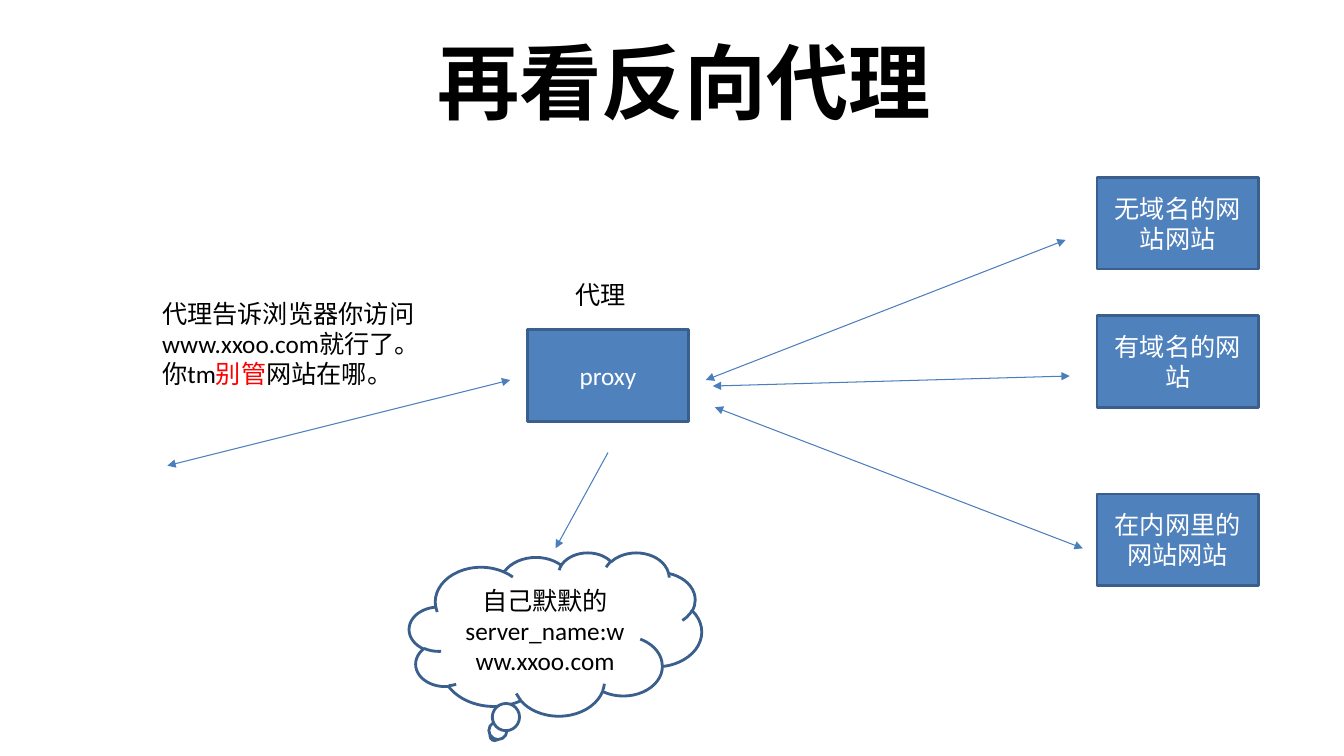
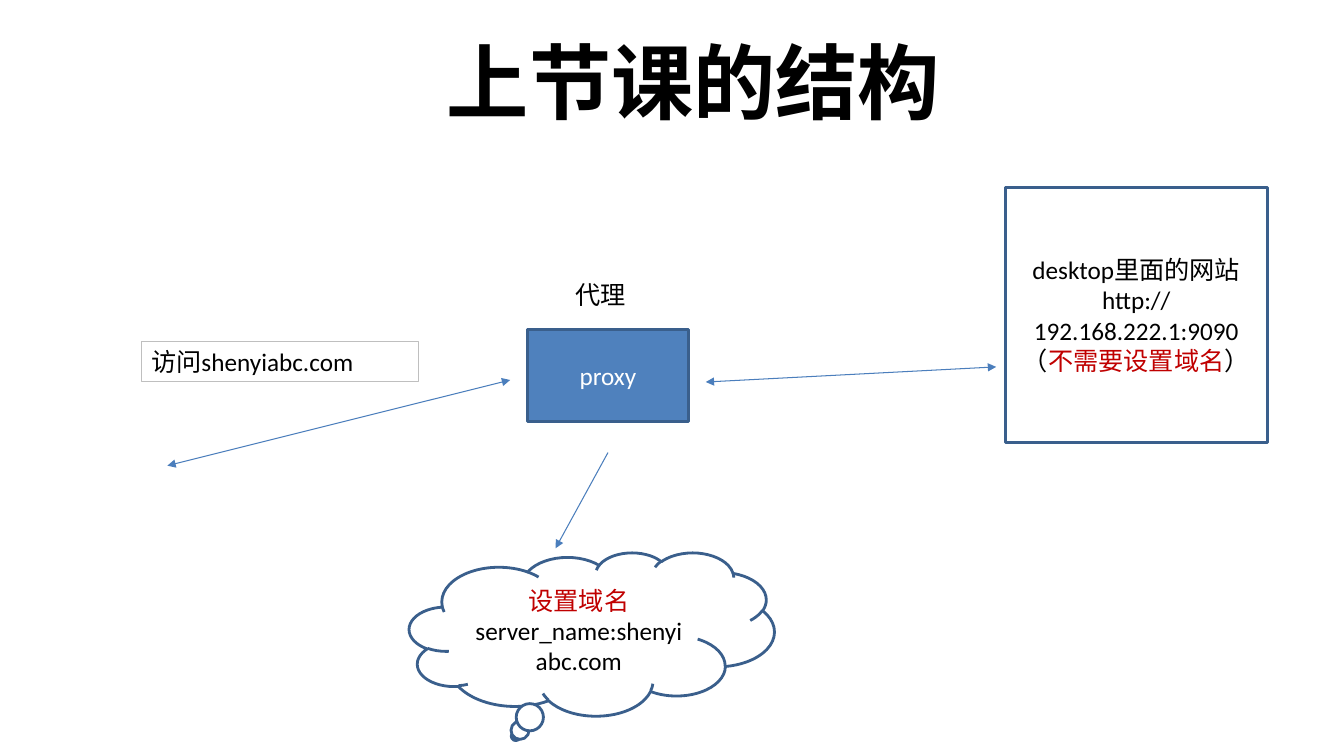
from lxml import etree
from pptx import Presentation
from pptx.dml.color import RGBColor
from pptx.enum.shapes import MSO_CONNECTOR, MSO_SHAPE
from pptx.enum.text import MSO_ANCHOR, PP_ALIGN
from pptx.oxml.ns import qn
from pptx.util import Inches, Pt

RECT = MSO_SHAPE.RECTANGLE
CLOUD = MSO_SHAPE.CLOUD_CALLOUT
STRAIGHT = MSO_CONNECTOR.STRAIGHT
LEFT, CENTER = PP_ALIGN.LEFT, PP_ALIGN.CENTER
TOP, MIDDLE = MSO_ANCHOR.TOP, MSO_ANCHOR.MIDDLE

FONT = "Calibri"
BLACK, WHITE, GREY = "000000", "FFFFFF", "BFBFBF"
BLUE, EDGE, WIRE = "4F81BD", "3A5F8C", "4B7EBC"
RED, DARK_RED = "FF0000", "C00000"
BOX_W, BOX_H = 1.6, 0.91


def rgb(code):
    """Turn a hex string into a colour."""
    return RGBColor.from_string(code)


def write(frame, paras, size=18, color=BLACK, bold=False, align=LEFT,
          anchor=TOP):
    """Fill a frame; each paragraph lists runs: text or (text, colour)."""
    frame.word_wrap = True
    frame.vertical_anchor = anchor
    for i, runs in enumerate(paras):
        para = frame.paragraphs[0] if i == 0 else frame.add_paragraph()
        para.alignment = align
        for item in runs:
            text, tint = (item, color) if isinstance(item, str) else item
            run = para.add_run()
            run.text = text
            run.font.name = FONT
            run.font.size = Pt(size)
            run.font.bold = bold
            run.font.color.rgb = rgb(tint)


def add_title(prs, text):
    """Add a slide with the shared title style."""
    slide = prs.slides.add_slide(prs.slide_layouts[5])
    title = slide.shapes.title
    title.left, title.top = Inches(0), Inches(0.04)
    title.width, title.height = Inches(13.57), Inches(1.52)
    write(title.text_frame, [[text]], size=58.7, bold=True, align=CENTER,
          anchor=MIDDLE)
    return slide


def add_note(slide, x, y, w, h, runs):
    """Add a plain text box."""
    box = slide.shapes.add_textbox(Inches(x), Inches(y), Inches(w), Inches(h))
    write(box.text_frame, [runs])


def add_box(slide, x, y, w, h, paras, kind=RECT, fill=WHITE, line=EDGE,
            weight=2, color=BLACK, align=CENTER, anchor=MIDDLE):
    """Add an outlined shape with text."""
    shape = slide.shapes.add_shape(kind, Inches(x), Inches(y), Inches(w),
                                   Inches(h))
    shape.shadow.inherit = False
    if fill:
        shape.fill.solid()
        shape.fill.fore_color.rgb = rgb(fill)
    else:
        shape.fill.background()
    shape.line.color.rgb = rgb(line)
    shape.line.width = Pt(weight)
    write(shape.text_frame, paras, color=color, align=align, anchor=anchor)


def add_node(slide, x, y, text):
    """Add a blue box for a server or site."""
    add_box(slide, x, y, BOX_W, BOX_H, [[text]], fill=BLUE, color=WHITE)


def add_arrow(slide, start, end, both=True):
    """Add a thin arrow, with heads at both ends by default."""
    x1, y1, x2, y2 = (Inches(v) for v in start + end)
    wire = slide.shapes.add_connector(STRAIGHT, x1, y1, x2, y2)
    wire.line.color.rgb = rgb(WIRE)
    wire.line.width = Pt(0.75)
    line = wire.line._get_or_add_ln()
    for tag in ("a:headEnd", "a:tailEnd") if both else ("a:tailEnd",):
        etree.SubElement(line, qn(tag)).set("type", "triangle")
    etree.SubElement(line.getparent(), qn("a:effectLst"))


def add_proxy(slide, width, thought):
    """Add the proxy, its client arrow and its thought cloud."""
    add_note(slide, 5.61, 2.72, 1.23, 0.4, ["代理"])
    add_node(slide, 5.23, 3.27, "proxy")
    add_arrow(slide, (1.66, 4.62), (5.06, 3.77))
    add_arrow(slide, (6.03, 4.49), (5.51, 5.44), both=False)
    add_box(slide, 4.06, 5.48, width, 1.62, [thought], kind=CLOUD)


def build_sites(prs):
    """Build the slide with one proxy before three sites."""
    slide = add_title(prs, "再看反向代理")
    add_proxy(slide, 2.9, ["自己默默的server_name:www.xxoo.com"])
    sites = [
        (1.76, "无域名的网站网站", (7, 3.77), (10.57, 2.38)),
        (3.13, "有域名的网站", (7.07, 3.83), (10.61, 3.73)),
        (4.9, "在内网里的网站网站", (7.09, 4.04), (10.74, 5.44)),
    ]
    for y, name, start, end in sites:
        add_node(slide, 10.88, y, name)
        add_arrow(slide, start, end)
    add_note(slide, 1.51, 2.91, 2.75, 1.01,
             ["代理告诉浏览器你访问www.xxoo.com就行了。你tm",
              ("别管", RED), "网站在哪。"])


def build_recap(prs):
    """Build the slide with the structure of the last lesson."""
    slide = add_title(prs, " 上节课的结构")
    add_proxy(slide, 3.62,
              [("设置域名", DARK_RED), "server_name:shenyiabc.com"])
    add_arrow(slide, (7, 3.79), (9.88, 3.64))
    add_box(slide, 1.4, 3.39, 2.75, 0.4, [["访问shenyiabc.com"]], fill=None,
            line=GREY, weight=0.75, align=LEFT, anchor=TOP)
    add_box(slide, 9.97, 1.86, 2.6, 2.53,
            [["desktop里面的网站"], ["http://192.168.222.1:9090"],
             ["（", ("不需要设置域名", DARK_RED), "）"]])


def main():
    """Build and save the slides."""
    prs = Presentation()
    prs.slide_width, prs.slide_height = Inches(13.33), Inches(7.5)
    build_sites(prs)
    build_recap(prs)
    prs.save("out.pptx")


main()
